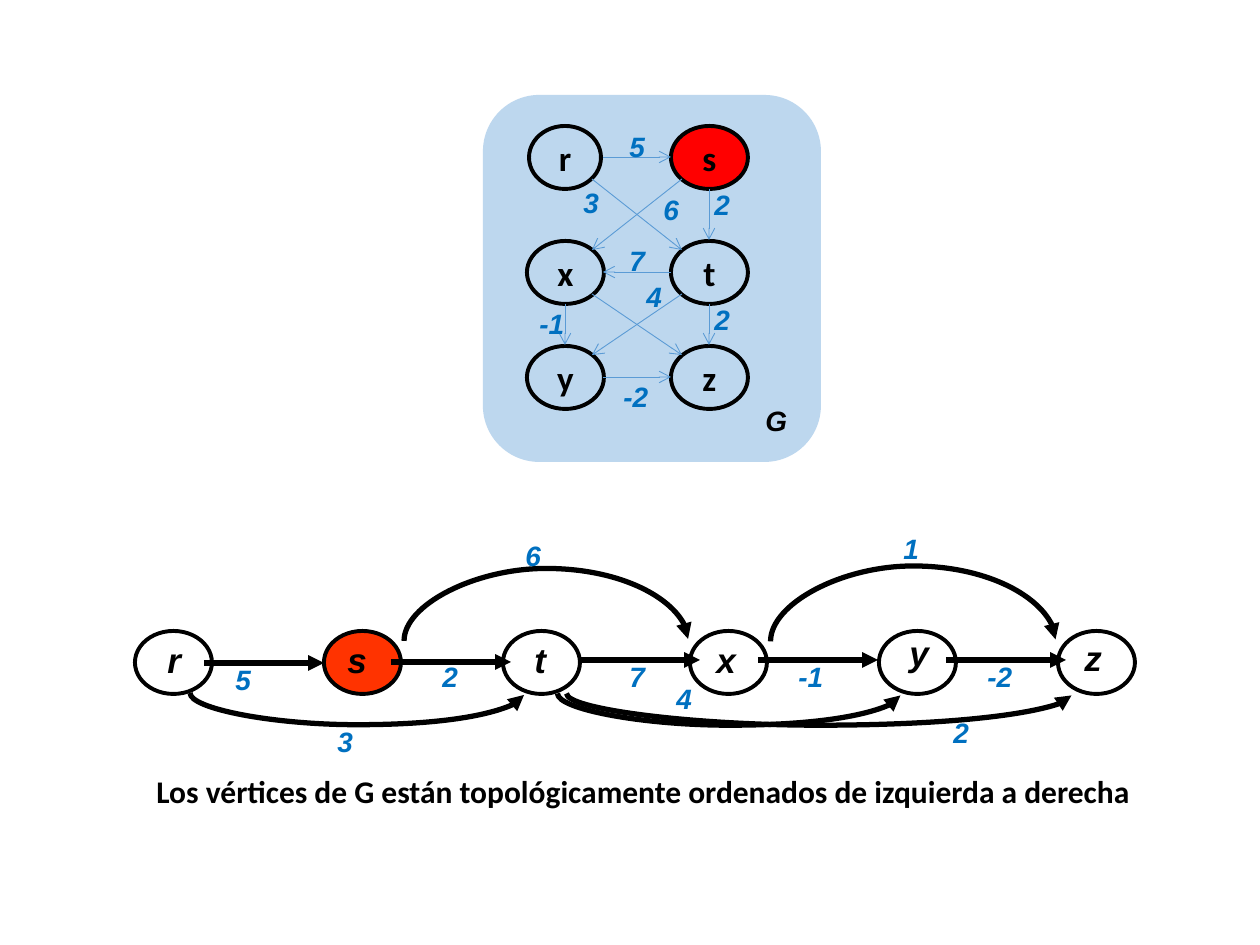
from math import sqrt

from lxml import etree
from pptx import Presentation
from pptx.dml.color import RGBColor
from pptx.enum.shapes import MSO_CONNECTOR, MSO_SHAPE
from pptx.enum.text import MSO_ANCHOR, PP_ALIGN
from pptx.oxml.ns import qn
from pptx.util import Pt

PX = 914400 // 126
BLACK = RGBColor(0, 0, 0)
RED = RGBColor(0xFF, 0, 0)
ORANGE = RGBColor(0xFF, 0x33, 0)
BLUE = RGBColor(0x00, 0x70, 0xC0)
SKY = RGBColor(0x5B, 0x9B, 0xD5)
PALE = RGBColor(0xBD, 0xD7, 0xEE)
ROUND, OVAL = MSO_SHAPE.ROUNDED_RECTANGLE, MSO_SHAPE.OVAL
STRAIGHT, CURVE = MSO_CONNECTOR.STRAIGHT, MSO_CONNECTOR.CURVE
MIDDLE, CENTER, LEFT = MSO_ANCHOR.MIDDLE, PP_ALIGN.CENTER, PP_ALIGN.LEFT

NODE_W, NODE_H = 77, 63
NODES = {"r": (527, 126), "s": (671, 126), "x": (527, 241),
         "t": (671, 241), "y": (527, 346), "z": (671, 346)}
EDGES = ["rs", "st", "rt", "tx", "sx", "xy", "ty", "tz", "yz", "xz"]
ROW = [("r", 135, 155, 632), ("s", 324, 335, 632), ("t", 503, 522, 632),
       ("x", 690, 704, 632), ("y", 879, 897, 625), ("z", 1058, 1072, 630)]
STEPS = [(204, 663), (391, 662), (580, 660), (758, 660), (946, 660)]
ARCS = [(404, 688, 640, -73), (771, 1056, 640, -76), (190, 524, 694, 32),
        (558, 901, 694, 32), (567, 1072, 694, 32)]
COSTS = [("5", 223, 656), ("2", 430, 653), ("7", 617, 653), ("-1", 786, 653),
         ("-2", 975, 653), ("3", 325, 718), ("4", 664, 675), ("2", 941, 709),
         ("6", 513, 532), ("1", 891, 525),
         ("5", 617, 123), ("3", 571, 179), ("2", 702, 181), ("6", 651, 186),
         ("7", 617, 237), ("4", 634, 273), ("2", 702, 296), ("-1", 527, 300),
         ("-2", 611, 373)]


def write(frame, text, size=16, font="Arial", color=BLACK, slant=False, align=LEFT):
    """Put one formatted line of bold text in a frame."""
    para = frame.paragraphs[0]
    para.alignment = align
    run = para.add_run()
    run.text = text
    run.font.size, run.font.name = Pt(size), font
    run.font.bold, run.font.italic = True, slant
    run.font.color.rgb = color


class Board:
    """Draws styled parts on the current slide, in px."""

    def __init__(self, slide):
        self.shapes = slide.shapes

    def shape(self, kind, x, y, w, h, fill=None, line=None):
        item = self.shapes.add_shape(kind, x * PX, y * PX, w * PX, h * PX)
        item.shadow.inherit = False
        if fill is None:
            item.fill.background()
        else:
            item.fill.solid()
            item.fill.fore_color.rgb = fill
        if line is None:
            item.line.fill.background()
        else:
            item.line.color.rgb = line
            item.line.width = Pt(2.25)
        return item

    def node(self, x, y, fill=None, name=None, w=NODE_W):
        item = self.shape(OVAL, x, y, w, NODE_H, fill, BLACK)
        if name:
            frame = item.text_frame
            frame.word_wrap = False
            frame.vertical_anchor = MIDDLE
            write(frame, name, 20, "Calibri", align=CENTER)

    def text(self, text, x, y, w=98, h=47, **style):
        frame = self.shapes.add_textbox(x * PX, y * PX, w * PX, h * PX).text_frame
        frame.word_wrap = True
        write(frame, text, **style)

    def arrow(self, x1, y1, x2, y2, color=BLACK, width=3, head="triangle", kind=STRAIGHT):
        item = self.shapes.add_connector(kind, x1 * PX, y1 * PX, x2 * PX, y2 * PX)
        item.line.color.rgb = color
        item.line.width = Pt(width)
        props = item.element.spPr
        etree.SubElement(props.find(qn("a:ln")), qn("a:tailEnd"), type=head)
        etree.SubElement(props, qn("a:effectLst"))
        return item

    def arc(self, x1, x2, y, bend):
        thick, span = 2, x2 - x1
        mid = (x1 + x2) // 2
        item = self.arrow(mid - 1, y - span // 2, mid + 1, y - span // 2 + span, kind=CURVE)
        props = item.element.spPr
        frame = props.find(qn("a:xfrm"))
        frame.set("rot", str((90 if bend < 0 else 270) * 60000))
        frame.set("flipH", "1")
        if bend < 0:
            frame.set("flipV", "1")
        guides = props.find(qn("a:prstGeom")).get_or_add_avLst()
        ratio = abs(bend) * 100000 // thick
        etree.SubElement(guides, qn("a:gd"), name="adj1", fmla=f"val {ratio}")

    def edge(self, start, end):
        (x1, y1), (x2, y2) = NODES[start], NODES[end]
        dx, dy = (x2 > x1) - (x2 < x1), (y2 > y1) - (y2 < y1)
        part = 2 * sqrt(dx * dx + dy * dy)
        reach_x, reach_y = round(dx * NODE_W / part), round(dy * NODE_H / part)
        half_w, half_h = NODE_W // 2, NODE_H // 2
        self.arrow(x1 + half_w + reach_x, y1 + half_h + reach_y,
                   x2 + half_w - reach_x, y2 + half_h - reach_y, SKY, 0.5, "arrow")


def main():
    """Build the slide with the graph and its sorted row."""
    deck = Presentation()
    deck.slide_width, deck.slide_height = 1260 * PX, 945 * PX
    board = Board(deck.slides.add_slide(deck.slide_layouts[6]))

    board.shape(ROUND, 483, 95, 338, 367, PALE)
    for name, left, _, _ in ROW:
        board.node(left, 631, ORANGE if name == "s" else None)
    for name, _, x, y in ROW:
        board.text(name, x, y, size=20, slant=True)
    for x, y in STEPS:
        board.arrow(x, y, x + 120, y)
    for arc in ARCS:
        board.arc(*arc)

    for name, (x, y) in NODES.items():
        if name == "r":
            board.node(x + 2, y, name=name, w=72)
        else:
            board.node(x, y, RED if name == "s" else None, name)
    for start, end in EDGES:
        board.edge(start, end)
    for cost, x, y in COSTS:
        board.text(cost, x, y, color=BLUE, slant=True)

    board.text("Los vértices de G están topológicamente ordenados de izquierda a derecha",
               144, 766, 1042, 50, size=18, font="Calibri")
    board.text("G", 753, 397, slant=True)
    deck.save("out.pptx")


if __name__ == "__main__":
    main()
